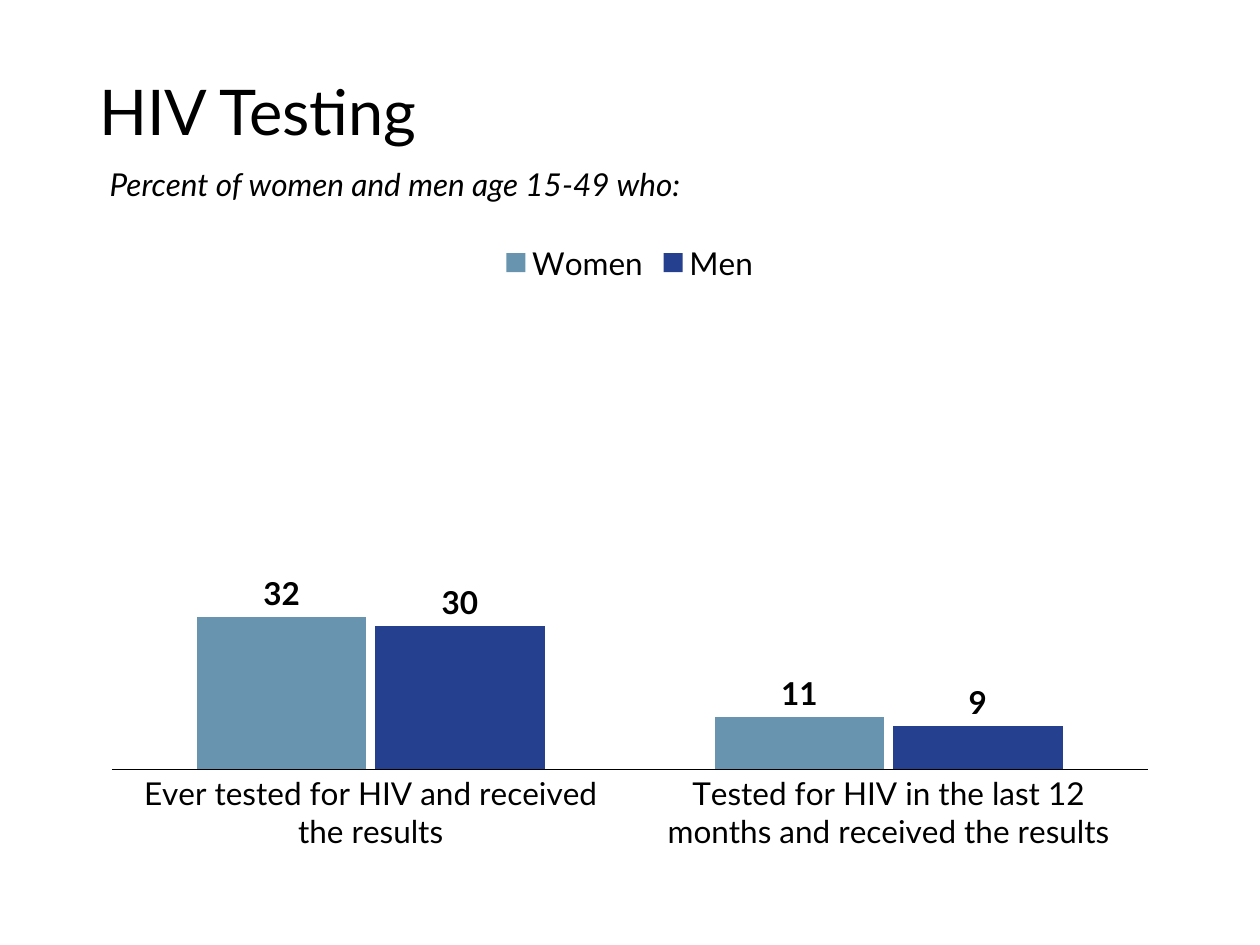
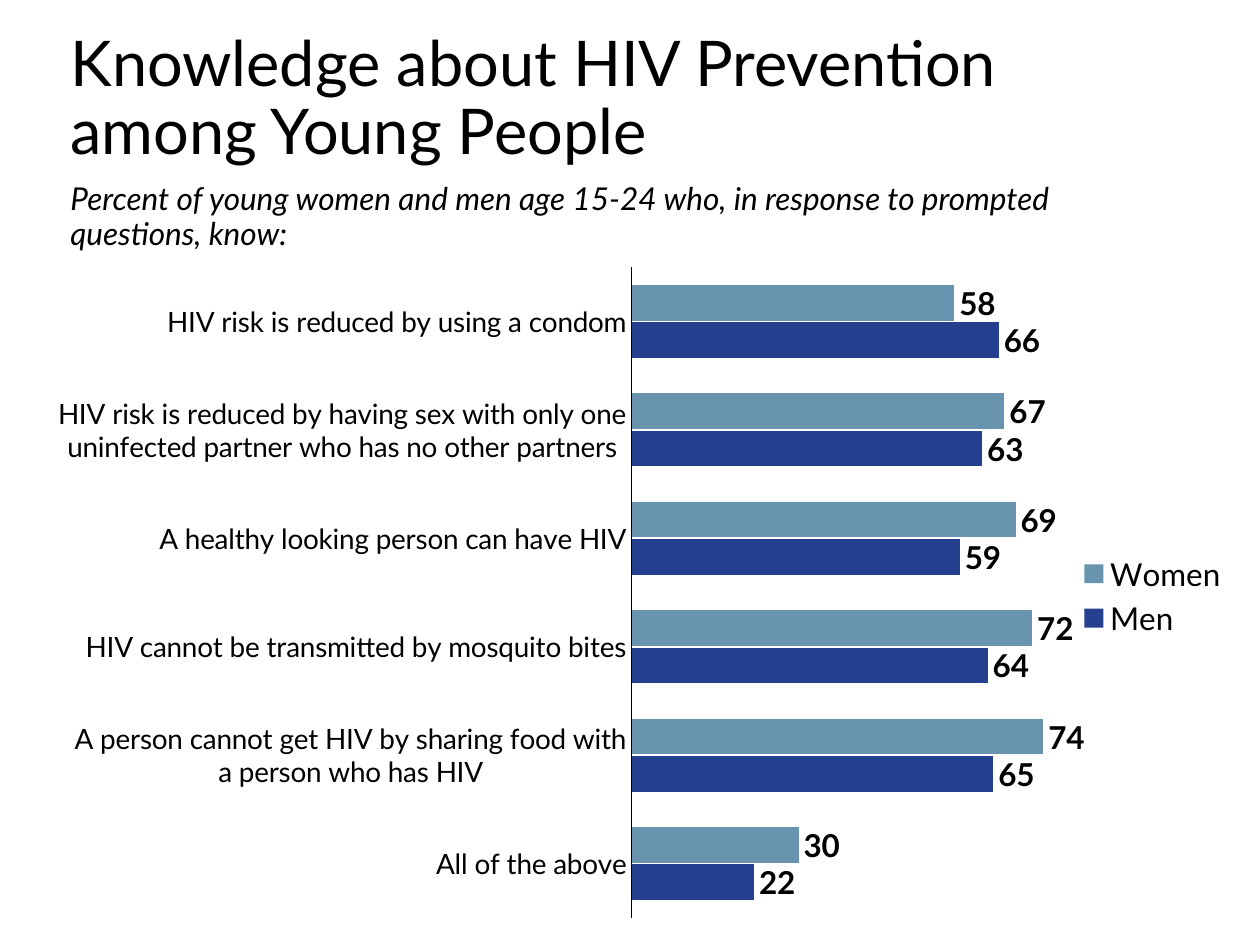
from lxml.etree import SubElement
from pptx import Presentation
from pptx.chart.data import CategoryChartData
from pptx.dml.color import RGBColor
from pptx.enum.chart import XL_CHART_TYPE, XL_LABEL_POSITION, XL_LEGEND_POSITION, XL_TICK_MARK
from pptx.enum.text import MSO_ANCHOR
from pptx.oxml.ns import qn
from pptx.util import Cm, Pt

FONT = "Lato"
COLORS = {"text": "000000", "background": "FFFFFF", "Women": "6894AF", "Men": "25408F"}

SLIDES = [
    {
        "title": ["HIV Testing"],
        "title_box": (1.75, 1.02, 21.89, 2.59),
        "subtitle": "Percent of women and men age 15-49 who:",
        "subtitle_box": (1.96, 3.28, 21.89, 2.01),
        "chart_type": XL_CHART_TYPE.COLUMN_CLUSTERED,
        "chart_box": (1.75, 4.6, 21.89, 13.44),
        "plot_area": (0.023, 0.096, 0.954, 0.716),
        "legend": XL_LEGEND_POSITION.TOP,
        "category_size": 18,
        "categories": [
            "Ever tested for HIV and received the results",
            "Tested for HIV in the last 12 months and received the results",
        ],
        "series": {"Women": [32, 11], "Men": [30, 9]},
    },
    {
        "title": ["Knowledge about HIV Prevention", "among Young People"],
        "title_box": (1.17, 1.02, 23.04, 2.01),
        "subtitle": "Percent of young women and men age 15-24 who, "
                    "in response to prompted questions, know:",
        "subtitle_box": (1.17, 3.58, 21.89, 2.01),
        "chart_type": XL_CHART_TYPE.BAR_CLUSTERED,
        "chart_box": (1.17, 5.31, 23.85, 13.41),
        "plot_area": (0.483, 0.006, 0.472, 0.978),
        "legend": XL_LEGEND_POSITION.RIGHT,
        "category_size": 16,
        "categories": [
            "All of the above",
            "A person cannot get HIV by sharing food with a person who has HIV",
            "HIV cannot be transmitted by mosquito bites",
            "A healthy looking person can have HIV",
            "HIV risk is reduced by having sex with only one uninfected partner "
            "who has no other partners",
            "HIV risk is reduced by using a condom",
        ],
        "series": {"Men": [22, 65, 64, 59, 63, 66], "Women": [30, 74, 72, 69, 67, 58]},
    },
]


def color(name):
    return RGBColor.from_string(COLORS[name])


def lengths(box):
    return [Cm(value) for value in box]


def style_font(font, size, bold=False, italic=False):
    font.name = FONT
    font.size = Pt(size)
    font.bold = bold
    font.italic = italic
    font.color.rgb = color("text")


def add_text(slide, box, lines, size, anchor, italic=False, space_before=0):
    frame = slide.shapes.add_textbox(*lengths(box)).text_frame
    frame.word_wrap = True
    frame.vertical_anchor = anchor
    paragraph = frame.paragraphs[0]
    paragraph.line_spacing = 0.9
    paragraph.space_before = Pt(space_before)
    for index, line in enumerate(lines):
        if index:
            paragraph.add_line_break()
        run = paragraph.add_run()
        run.text = line
        style_font(run.font, size, italic=italic)


def place_plot_area(chart, fractions):
    plot_area = chart._chartSpace.chart.plotArea
    for layout in plot_area.findall(qn("c:layout")):
        plot_area.remove(layout)
    layout = SubElement(plot_area, qn("c:layout"))
    plot_area.insert(0, layout)
    manual = SubElement(layout, qn("c:manualLayout"))
    settings = [("layoutTarget", "inner"), ("xMode", "edge"), ("yMode", "edge")]
    settings += zip("xywh", fractions)
    for tag, value in settings:
        SubElement(manual, qn(f"c:{tag}")).set("val", str(value))


def add_survey_chart(slide, content):
    data = CategoryChartData(number_format="0")
    data.categories = content["categories"]
    for name, values in content["series"].items():
        data.add_series(name, values)
    chart = slide.shapes.add_chart(
        content["chart_type"], *lengths(content["chart_box"]), data
    ).chart
    style_font(chart.font, 18)
    chart.has_title = False

    chart.has_legend = True
    chart.legend.position = content["legend"]
    chart.legend.include_in_layout = False
    style_font(chart.legend.font, 18)

    value_axis = chart.value_axis
    value_axis.minimum_scale = 0
    value_axis.maximum_scale = 100
    value_axis.has_major_gridlines = False
    value_axis.visible = False

    category_axis = chart.category_axis
    category_axis.major_tick_mark = XL_TICK_MARK.NONE
    category_axis.minor_tick_mark = XL_TICK_MARK.NONE
    category_axis.format.line.color.rgb = color("text")
    category_axis.format.line.width = Pt(0.75)
    style_font(category_axis.tick_labels.font, content["category_size"])

    plot = chart.plots[0]
    plot.vary_by_categories = False
    plot.gap_width = 100
    plot.overlap = -5
    for series in plot.series:
        series.format.fill.solid()
        series.format.fill.fore_color.rgb = color(series.name)
        labels = series.data_labels
        labels.show_value = True
        labels.position = XL_LABEL_POSITION.OUTSIDE_END
        style_font(labels.font, 18, bold=True)
    place_plot_area(chart, content["plot_area"])


def add_survey_slide(presentation, content):
    slide = presentation.slides.add_slide(presentation.slide_layouts[6])
    slide.background.fill.solid()
    slide.background.fill.fore_color.rgb = color("background")
    add_text(slide, content["title_box"], content["title"], 36, MSO_ANCHOR.MIDDLE)
    add_text(slide, content["subtitle_box"], [content["subtitle"]], 18,
             MSO_ANCHOR.TOP, italic=True, space_before=10)
    add_survey_chart(slide, content)


def main():
    presentation = Presentation()
    presentation.slide_width = Cm(25.4)
    presentation.slide_height = Cm(19.05)
    for content in SLIDES:
        add_survey_slide(presentation, content)
    presentation.save("out.pptx")


if __name__ == "__main__":
    main()
